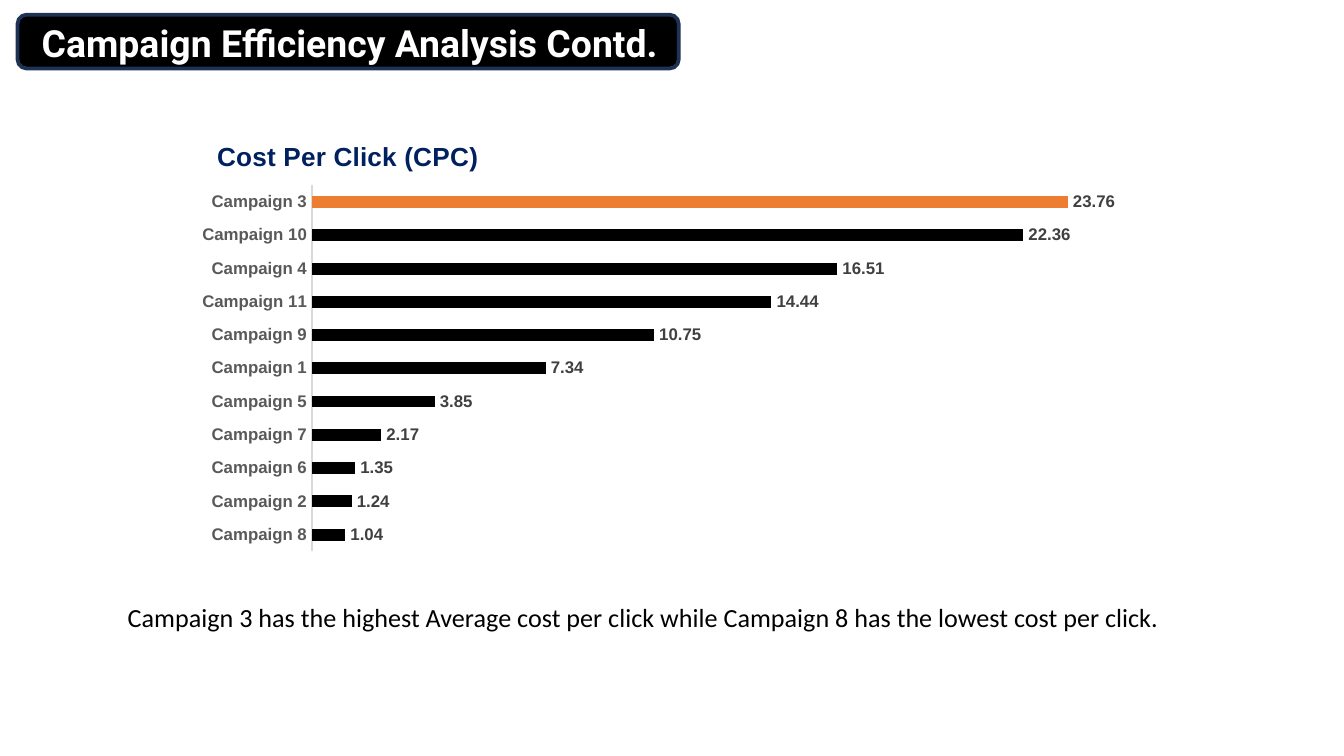
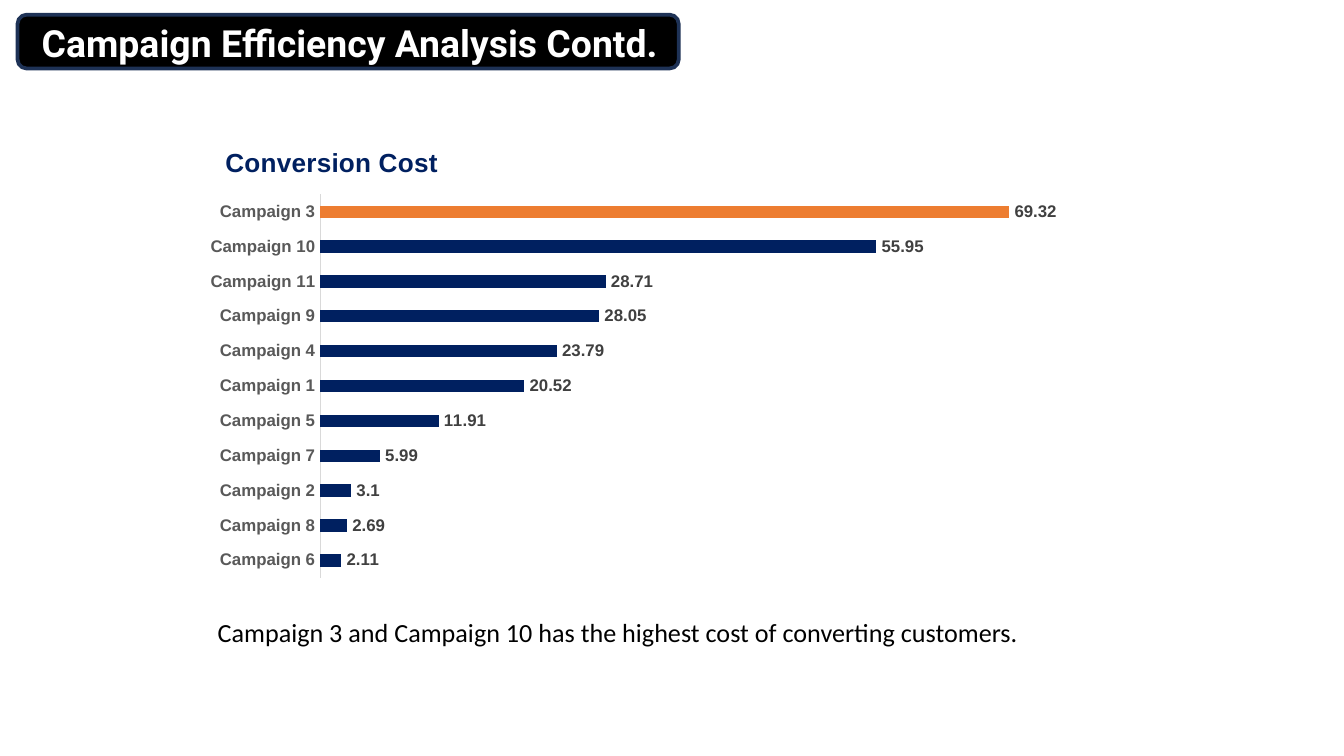
from dataclasses import dataclass

from lxml.etree import SubElement
from pptx import Presentation
from pptx.chart.data import CategoryChartData
from pptx.dml.color import RGBColor
from pptx.enum.chart import XL_CHART_TYPE as ChartType
from pptx.enum.chart import XL_LABEL_POSITION as LabelPosition
from pptx.enum.chart import XL_TICK_LABEL_POSITION as TickLabels
from pptx.enum.chart import XL_TICK_MARK as TickMark
from pptx.enum.shapes import MSO_SHAPE as Shape
from pptx.enum.text import MSO_ANCHOR as Anchor
from pptx.enum.text import MSO_AUTO_SIZE as AutoSize
from pptx.enum.text import PP_ALIGN as Align
from pptx.oxml.ns import qn
from pptx.util import Pt


@dataclass(frozen=True)
class Theme:
    black: str = "000000"
    white: str = "FFFFFF"
    navy: str = "002060"
    band_line: str = "1E3256"
    accent: str = "ED7D31"
    axis_line: str = "D9D9D9"
    axis_text: str = "595959"
    label_text: str = "404040"
    title_font: str = "Roboto"
    body_font: str = "Calibri"
    chart_font: str = "Arial"
    title_size: int = 20
    body_size: int = 14
    chart_title_size: int = 14
    chart_size: int = 10
    label_size: int = 9


def rgb(value):
    return RGBColor.from_string(value)


def place(shape, left, top, width, height):
    shape.left, shape.top = Pt(left), Pt(top)
    shape.width, shape.height = Pt(width), Pt(height)


def set_font(font, name, size, color, bold=False):
    font.name, font.size, font.bold = name, Pt(size), bold
    font.color.rgb = rgb(color)


def set_insets(frame, across, down):
    frame.margin_left = frame.margin_right = Pt(across)
    frame.margin_top = frame.margin_bottom = Pt(down)


def set_layout(parent, index, **values):
    for old in parent.findall(qn("c:layout")):
        parent.remove(old)
    layout = SubElement(parent, qn("c:layout"))
    manual = SubElement(layout, qn("c:manualLayout"))
    for tag, value in values.items():
        SubElement(manual, qn(f"c:{tag}")).set("val", str(value))
    parent.insert(index, layout)


class SlideBuilder:
    def __init__(self, deck, theme):
        self.deck = deck
        self.theme = theme
        self.page = None

    def start(self, title):
        theme = self.theme
        self.page = self.deck.slides.add_slide(self.deck.slide_layouts[5])
        band = self.page.shapes.add_shape(
            Shape.ROUNDED_RECTANGLE, Pt(9.4), Pt(7.9), Pt(354.2), Pt(28.8))
        band.shadow.inherit = False
        band.fill.solid()
        band.fill.fore_color.rgb = rgb(theme.black)
        band.line.color.rgb = rgb(theme.band_line)
        band.line.width = Pt(2)

        box = self.page.shapes.title
        band.element.addnext(box.element)
        place(box, 15.1, 3.6, 350.6, 32.4)
        frame = box.text_frame
        frame.text = title
        frame.auto_size = AutoSize.NONE
        frame.word_wrap = False
        frame.vertical_anchor = Anchor.TOP
        set_insets(frame, 7.2, 7.2)
        para = frame.paragraphs[0]
        para.alignment = Align.LEFT
        set_font(para.runs[0].font, theme.title_font, theme.title_size, theme.white, True)

    def caption(self, text, left, top, width):
        theme = self.theme
        box = self.page.shapes.add_textbox(Pt(left), Pt(top), Pt(width), Pt(22.3))
        frame = box.text_frame
        frame.text = text
        frame.word_wrap = True
        frame.auto_size = AutoSize.SHAPE_TO_FIT_TEXT
        set_insets(frame, 5, 2.7)
        set_font(frame.paragraphs[0].runs[0].font, theme.body_font, theme.body_size, theme.black)

    def bar_chart(self, title, costs, color, maximum, number_format, left, top, height):
        theme = self.theme
        data = CategoryChartData()
        data.categories = [f"Campaign {number}" for number in costs]
        data.add_series("Series 1", costs.values())
        chart = self.page.shapes.add_chart(
            ChartType.BAR_CLUSTERED, Pt(left), Pt(top), Pt(504.7), Pt(height), data).chart
        chart.has_legend = False
        set_font(chart.font, theme.chart_font, theme.chart_size, theme.black)

        chart.has_title = True
        frame = chart.chart_title.text_frame
        frame.text = title
        set_font(frame.paragraphs[0].runs[0].font,
                 theme.chart_font, theme.chart_title_size, theme.navy, True)
        chart.chart_title.include_in_layout = False

        names = chart.category_axis
        names.major_tick_mark = names.minor_tick_mark = TickMark.NONE
        names.tick_label_position = TickLabels.NEXT_TO_AXIS
        names.format.line.color.rgb = rgb(theme.axis_line)
        names.format.line.width = Pt(0.75)
        set_font(names.tick_labels.font,
                 theme.chart_font, theme.label_size, theme.axis_text, True)

        values = chart.value_axis
        values.visible = False
        values.has_major_gridlines = False
        values.minimum_scale, values.maximum_scale = 0, maximum

        plot = chart.plots[0]
        plot.gap_width = 182
        plot.vary_by_categories = False
        series = plot.series[0]
        highlight = series.points[len(costs) - 1]
        for bar, fill in ((series, color), (highlight, theme.accent)):
            bar.format.fill.solid()
            bar.format.fill.fore_color.rgb = rgb(fill)

        labels = series.data_labels
        labels.show_value = True
        labels.position = LabelPosition.OUTSIDE_END
        labels.number_format = number_format
        labels.number_format_is_linked = False
        set_font(labels.font, theme.chart_font, theme.label_size, theme.label_text, True)

        area = chart.element.find(qn("c:chart"))
        set_layout(area.find(qn("c:title")), 1,
                   xMode="edge", yMode="edge", x=0.03, y=0.04)
        set_layout(area.find(qn("c:plotArea")), 0, layoutTarget="inner",
                   xMode="edge", yMode="edge", x=0.136, y=0.155, w=0.844, h=0.825)


def main():
    deck = Presentation()
    deck.slide_width, deck.slide_height = Pt(720), Pt(405)
    theme = Theme()
    builder = SlideBuilder(deck, theme)
    heading = "Campaign Efficiency Analysis Contd."

    click_costs = {8: 1.04, 2: 1.24, 6: 1.35, 7: 2.17, 5: 3.85, 1: 7.34,
                   9: 10.75, 11: 14.44, 4: 16.51, 10: 22.36, 3: 23.76}
    builder.start(heading)
    builder.caption("Campaign 3 has the highest Average cost per click while "
                    "Campaign 8 has the lowest cost per click.", 63.4, 319.7, 575.3)
    builder.bar_chart("Cost Per Click (CPC)", click_costs, theme.black, 25, "0.00",
                      98.6, 62.6, 237.6)

    conversion_costs = {6: 2.11, 8: 2.69, 2: 3.1, 7: 5.99, 5: 11.91, 1: 20.52,
                        4: 23.79, 9: 28.05, 11: 28.71, 10: 55.95, 3: 69.32}
    builder.start(heading)
    builder.caption("Campaign 3 and Campaign 10 has the highest cost of "
                    "converting customers.", 111.6, 327.6, 452.9)
    builder.bar_chart("Conversion Cost", conversion_costs, theme.navy, 80, "General",
                      103, 65.5, 249.1)

    deck.save("out.pptx")


if __name__ == "__main__":
    main()
